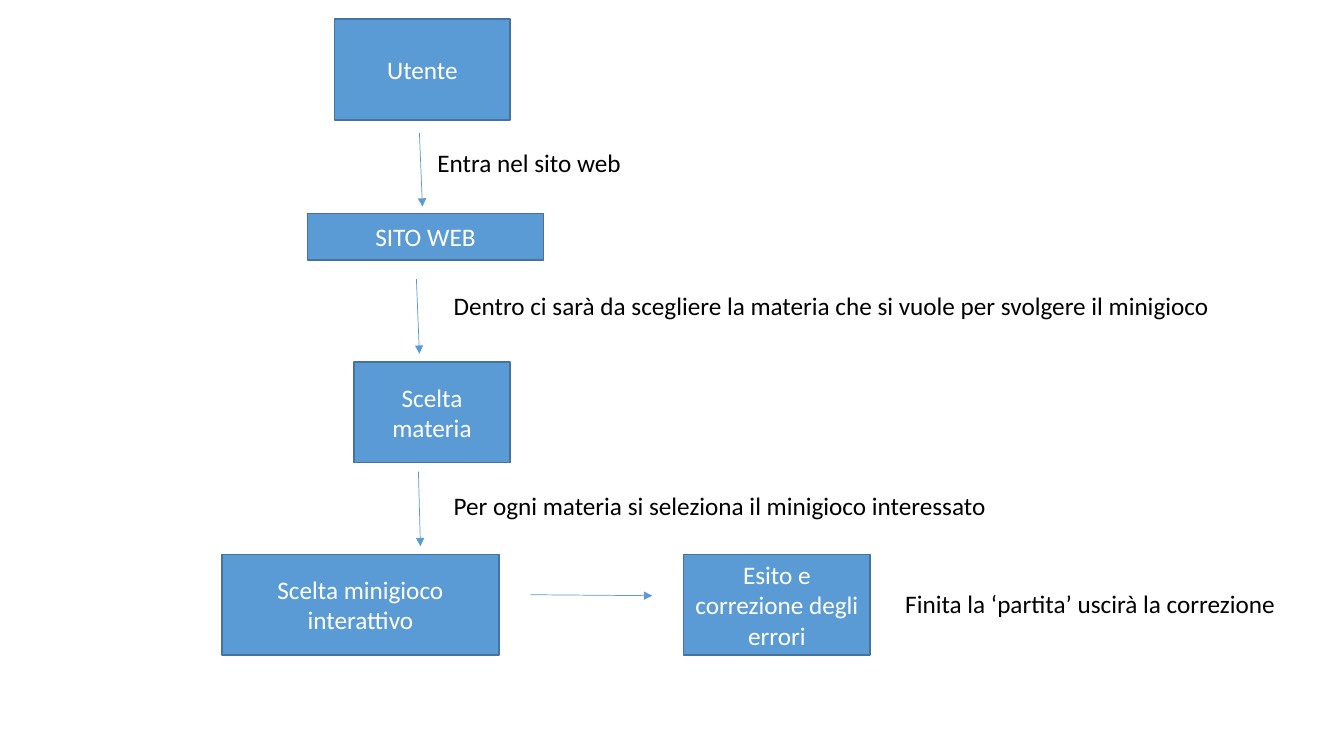
"""Build a flow chart of a user's way through an educational minigame site."""
from dataclasses import dataclass

from lxml import etree
from pptx import Presentation
from pptx import util as u
from pptx.dml.color import RGBColor
from pptx.enum import shapes, text
from pptx.oxml.ns import qn
from pptx.slide import Slide
from pptx.text.text import TextFrame

EMU_PER_PX = 9144
FONT = "Calibri"
FONT_SIZE = u.Pt(18)
BLUE = RGBColor(0x5B, 0x9B, 0xD5)
DARK_BLUE = RGBColor(0x43, 0x73, 0x9E)
WHITE = RGBColor(0xFF, 0xFF, 0xFF)
BLACK = RGBColor(0x00, 0x00, 0x00)


@dataclass(frozen=True)
class Step:
    """A filled box of the flow."""

    words: str
    left: int
    top: int
    width: int
    height: int = 100


@dataclass(frozen=True)
class Arrow:
    """An arrow from one point to another."""

    start_x: int
    start_y: int
    end_x: int
    end_y: int


@dataclass(frozen=True)
class Note:
    """A one-line explanation beside the flow."""

    words: str
    left: int
    top: int
    width: int
    height: int = 40


STEPS = (
    Step("Utente", 332, 19, 174),
    Step("SITO WEB", 305, 212, 234, 46),
    Step("Scelta materia", 351, 359, 155),
    Step("Scelta minigioco\ninterattivo", 220, 550, 275),
    Step("Esito e correzione degli errori", 678, 550, 185),
)
ARROWS = (
    Arrow(416, 132, 419, 205),
    Arrow(413, 277, 416, 351),
    Arrow(415, 468, 417, 542),
    Arrow(526, 590, 647, 591),
)
NOTES = (
    Note("Entra nel sito web", 424, 141, 204),
    Note("Dentro ci sarà da scegliere la materia che si vuole per svolgere il minigioco", 440, 283, 779),
    Note("Per ogni materia si seleziona il minigioco interessato", 440, 482, 554),
    Note("Finita la ‘partita’ uscirà la correzione", 888, 579, 391),
)


def px(*lengths: int) -> list[u.Emu]:
    """Turn px lengths into EMU."""
    return [u.Emu(length * EMU_PER_PX) for length in lengths]


def write(frame: TextFrame, words: str, color: RGBColor, align: text.PP_ALIGN) -> None:
    """Fill a frame with words and format every run."""
    frame.text = words
    for para in frame.paragraphs:
        para.alignment = align
        for span in para.runs:
            span.font.name = FONT
            span.font.size = FONT_SIZE
            span.font.color.rgb = color


def draw_step(page: Slide, step: Step) -> None:
    """Draw a box with centred white words."""
    box = page.shapes.add_shape(
        shapes.MSO_SHAPE.RECTANGLE, *px(step.left, step.top, step.width, step.height)
    )
    box.shadow.inherit = False
    box.fill.solid()
    box.fill.fore_color.rgb = BLUE
    box.line.color.rgb = DARK_BLUE
    box.line.width = u.Pt(1)
    box.text_frame.vertical_anchor = text.MSO_ANCHOR.MIDDLE
    write(box.text_frame, step.words, WHITE, text.PP_ALIGN.CENTER)


def draw_arrow(page: Slide, arrow: Arrow) -> None:
    """Draw a thin line with a triangle at its end."""
    connector = page.shapes.add_connector(
        shapes.MSO_CONNECTOR.STRAIGHT,
        *px(arrow.start_x, arrow.start_y, arrow.end_x, arrow.end_y),
    )
    connector.line.color.rgb = BLUE
    connector.line.width = u.Pt(0.5)
    properties = connector._element.spPr
    etree.SubElement(properties.find(qn("a:ln")), qn("a:tailEnd"), type="triangle")
    etree.SubElement(properties, qn("a:effectLst"))


def draw_note(page: Slide, note: Note) -> None:
    """Draw an unwrapped line of black words."""
    box = page.shapes.add_textbox(*px(note.left, note.top, note.width, note.height))
    box.text_frame.word_wrap = False
    box.text_frame.auto_size = text.MSO_AUTO_SIZE.SHAPE_TO_FIT_TEXT
    write(box.text_frame, note.words, BLACK, text.PP_ALIGN.LEFT)


def main() -> None:
    """Build and save the deck."""
    deck = Presentation()
    deck.slide_width, deck.slide_height = px(1333, 750)
    page = deck.slides.add_slide(deck.slide_layouts[6])
    for step in STEPS:
        draw_step(page, step)
    for arrow in ARROWS:
        draw_arrow(page, arrow)
    for note in NOTES:
        draw_note(page, note)
    deck.save("out.pptx")


if __name__ == "__main__":
    main()
